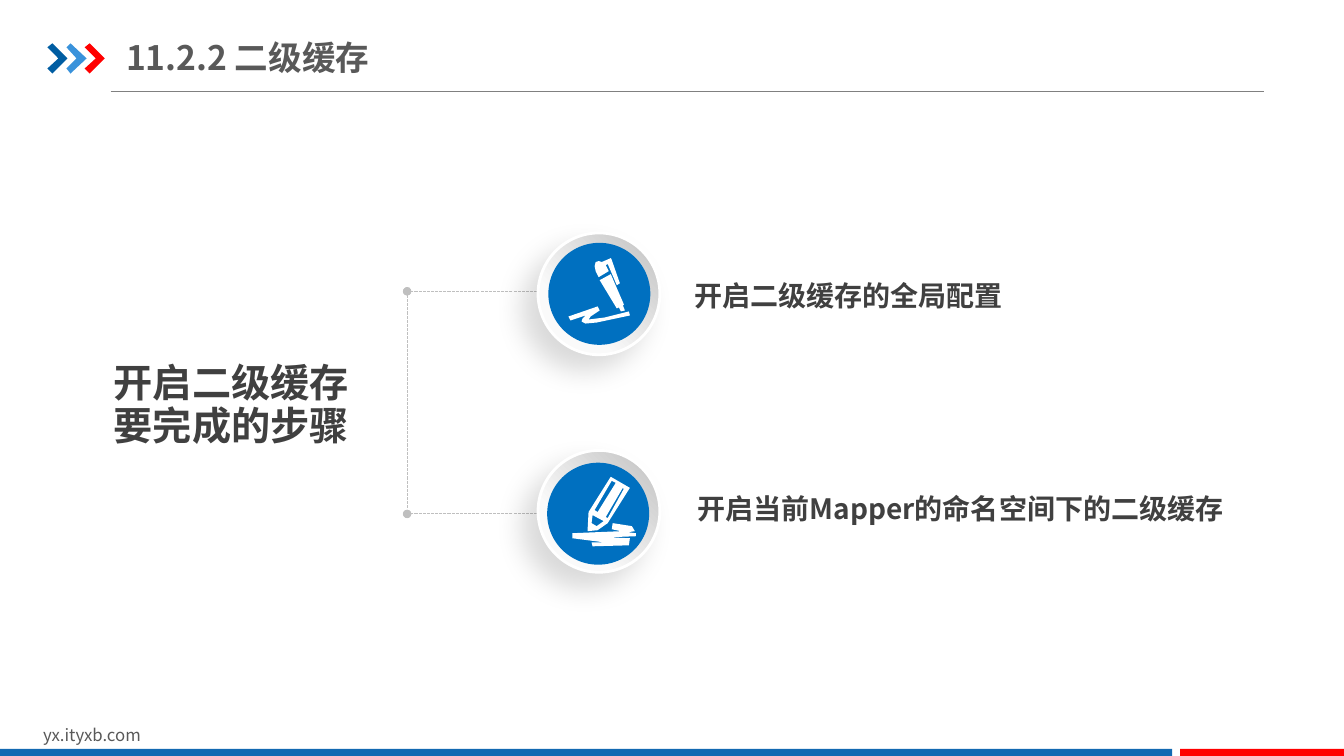
"""Build the slide listing the two steps that enable the second-level cache."""
from dataclasses import dataclass

from lxml.etree import SubElement
from pptx import Presentation
from pptx.dml.color import RGBColor
from pptx.enum.dml import MSO_LINE
from pptx.enum.shapes import MSO_CONNECTOR, MSO_SHAPE
from pptx.enum.text import MSO_ANCHOR, PP_ALIGN
from pptx.oxml.ns import qn
from pptx.shapes.autoshape import Shape
from pptx.slide import Slide
from pptx.util import Cm, Pt

FONT = "Noto Sans CJK SC"
WHITE = RGBColor(0xFF, 0xFF, 0xFF)
BLACK = RGBColor(0, 0, 0)
RED = RGBColor(0xFF, 0, 0)
NAVY = RGBColor(0x00, 0x5D, 0xA2)
SKY = RGBColor(0x39, 0x92, 0xDB)
BAR_BLUE = RGBColor(0x13, 0x69, 0xB2)
DISC_BLUE = RGBColor(0x00, 0x70, 0xC0)
RULE_GRAY = RGBColor(0x80, 0x80, 0x80)
LINK_GRAY = RGBColor(0xBF, 0xBF, 0xBF)
PALE_GRAY = RGBColor(0xFA, 0xFA, 0xFA)
TITLE_GRAY = RGBColor(0x59, 0x59, 0x59)
TEXT_GRAY = RGBColor(0x40, 0x40, 0x40)

Box = tuple[float, float, float, float]
Outline = list[tuple[float, float]]

UNIT = Cm(0.0254)
CHEVRON: Outline = [(0, 47), (5, 43), (20, 58), (5, 73), (0, 68), (11, 58)]
PEN: list[Outline] = [
    [(595, 278), (606, 272), (619, 302), (618, 303), (620, 308), (616, 309), (614, 305), (612, 306)],
    [(564, 314), (566, 318), (581, 313), (578, 316), (577, 319), (581, 321), (592, 320), (625, 313),
     (624, 309), (600, 315), (584, 317), (586, 314), (595, 308), (593, 304)],
    [(597, 260), (594, 259), (591, 260), (590, 264), (591, 269), (594, 275), (604, 269), (601, 263),
     (603, 262), (612, 283), (615, 281), (607, 258), (606, 256), (604, 257)],
]
PENCIL: list[Outline] = [
    [(606, 473), (625, 484), (603, 519), (593, 526), (583, 527), (584, 508)],
    [(624, 541), (625, 534), (604, 533), (631, 532), (631, 529), (623, 528), (630, 527), (627, 522),
     (608, 519), (607, 525), (616, 527), (568, 529), (568, 534), (599, 538), (587, 538), (588, 542)],
    [(592, 522), (599, 517), (588, 511), (587, 519)],
    [(618, 484), (601, 513), (603, 514), (619, 485)],
    [(607, 477), (590, 506), (593, 508), (611, 479)],
]


@dataclass(frozen=True)
class Step:
    """One step: its ring, disc, icon outlines and label."""

    ring: Box
    disc: Box
    icon: list[Outline]
    label: Box
    text: str


@dataclass(frozen=True)
class Link:
    """A dashed line between two points."""

    start: tuple[float, float]
    end: tuple[float, float]


STEPS = [
    Step((13.56, 5.87, 3.07, 3.07), (13.82, 6.12, 2.57, 2.57), PEN,
         (17.5, 7.11, 8.15, 0.91), "开启二级缓存的全局配置"),
    Step((13.56, 11.35, 3.07, 3.07), (13.79, 11.66, 2.57, 2.57), PENCIL,
         (17.58, 12.47, 14.58, 0.91), "开启当前Mapper的命名空间下的二级缓存"),
]
LINKS = [
    Link((15.19, 7.34), (10.26, 7.34)),
    Link((15.19, 12.95), (10.26, 12.95)),
    Link((10.26, 7.34), (10.26, 12.95)),
]


def write_text(shape: Shape, text: str, *, size: float, color: RGBColor, bold: bool = False,
               side: float = 0, edge: float = 0, anchor: MSO_ANCHOR = MSO_ANCHOR.TOP,
               spacing: float = 1.0) -> None:
    """Put formatted, left-aligned text into a shape."""
    frame = shape.text_frame
    frame.word_wrap = True
    frame.vertical_anchor = anchor
    frame.margin_left = frame.margin_right = Cm(side)
    frame.margin_top = frame.margin_bottom = Cm(edge)
    paragraph = frame.paragraphs[0]
    paragraph.alignment = PP_ALIGN.LEFT
    paragraph.line_spacing = spacing
    run = paragraph.add_run()
    run.text = text
    run.font.size = Pt(size)
    run.font.bold = bold
    run.font.color.rgb = color
    run.font.name = FONT
    SubElement(run.font._element, qn("a:ea"), typeface=FONT)


def add_text(slide: Slide, box: Box, text: str, **formatting) -> None:
    """Add a text box."""
    write_text(slide.shapes.add_textbox(*map(Cm, box)), text, **formatting)


def paint(shape: Shape, color: RGBColor) -> None:
    """Give a shape a flat fill without line or shadow."""
    shape.shadow.inherit = False
    shape.fill.solid()
    shape.fill.fore_color.rgb = color
    shape.line.fill.background()


def add_flat(slide: Slide, kind: MSO_SHAPE, box: Box, color: RGBColor) -> None:
    """Add a flat preset shape."""
    paint(slide.shapes.add_shape(kind, *map(Cm, box)), color)


def add_outline(slide: Slide, outlines: list[Outline], color: RGBColor) -> None:
    """Add a freeform made of closed outlines."""
    builder = slide.shapes.build_freeform(*outlines[0][0], scale=UNIT)
    for index, (first, *rest) in enumerate(outlines):
        if index:
            builder.move_to(*first)
        builder.add_line_segments(rest, close=True)
    paint(builder.convert_to_shape(), color)


def add_line(slide: Slide, link: Link, color: RGBColor, dotted: bool = False) -> None:
    """Add a thin line, dashed with round ends when dotted."""
    connector = slide.shapes.add_connector(
        MSO_CONNECTOR.STRAIGHT, *map(Cm, link.start + link.end))
    connector.line.color.rgb = color
    connector.line.width = Pt(0.75)
    if dotted:
        connector.line.dash_style = MSO_LINE.SQUARE_DOT
        line = connector.line._get_or_add_ln()
        for end in ("a:headEnd", "a:tailEnd"):
            SubElement(line, qn(end), type="oval")
    SubElement(connector._element.spPr, qn("a:effectLst"))


def add_ring(slide: Slide, box: Box) -> None:
    """Add a raised ring with a gradient and a soft shadow."""
    ring = slide.shapes.add_shape(MSO_SHAPE.OVAL, *map(Cm, box))
    ring.fill.gradient()
    ring.fill.gradient_angle = 225
    for stop, color, position in zip(ring.fill.gradient_stops, (LINK_GRAY, PALE_GRAY), (0, 0.7)):
        stop.color.rgb = color
        stop.position = position
    ring.line.color.rgb = WHITE
    ring.line.width = Pt(2)
    ring.shadow.inherit = False
    effects = ring._element.spPr.find(qn("a:effectLst"))
    shadow = SubElement(effects, qn("a:outerShdw"), blurRad=str(Pt(20)), dist=str(Pt(15)),
                        dir=str(135 * 60000), algn="tr", rotWithShape="0")
    tint = SubElement(shadow, qn("a:srgbClr"), val=str(BLACK))
    SubElement(tint, qn("a:alpha"), val="15000")


def add_frame(slide: Slide) -> None:
    """Add the title, its chevrons and rule, and the footer."""
    title = slide.shapes.title
    title.left, title.top, title.width, title.height = map(Cm, (3.18, 0.74, 18.26, 1.4))
    write_text(title, "11.2.2 二级缓存", size=24, color=TITLE_GRAY, bold=True, edge=0.18,
               anchor=MSO_ANCHOR.MIDDLE)
    add_line(slide, Link((2.79, 2.31), (31.85, 2.31)), RULE_GRAY)
    for index, color in enumerate((NAVY, SKY, RED)):
        add_outline(slide, [[(x + 47 + 18.5 * index, y) for x, y in CHEVRON]], color)
    add_text(slide, (0.84, 18.14, 8.08, 0.76), "yx.ityxb.com", size=12, color=TITLE_GRAY,
             side=0.25, edge=0.13)
    add_flat(slide, MSO_SHAPE.RECTANGLE, (0, 18.87, 29.54, 0.23), BAR_BLUE)
    add_flat(slide, MSO_SHAPE.RECTANGLE, (29.74, 18.87, 4.13, 0.23), RED)


def main() -> None:
    """Build and save the slide."""
    presentation = Presentation()
    presentation.slide_width, presentation.slide_height = Cm(33.87), Cm(19.05)
    slide = presentation.slides.add_slide(presentation.slide_layouts[5])
    add_frame(slide)
    for link in LINKS:
        add_line(slide, link, LINK_GRAY, dotted=True)
    for step in STEPS:
        add_ring(slide, step.ring)
        add_flat(slide, MSO_SHAPE.OVAL, step.disc, DISC_BLUE)
        add_outline(slide, step.icon, WHITE)
        add_text(slide, step.label, step.text, size=20, color=TEXT_GRAY, bold=True, spacing=0.9)
    add_text(slide, (2.87, 9.17, 6.55, 2.41), "开启二级缓存要完成的步骤", size=28,
             color=TEXT_GRAY, bold=True, spacing=0.9)
    presentation.save("out.pptx")


if __name__ == "__main__":
    main()
